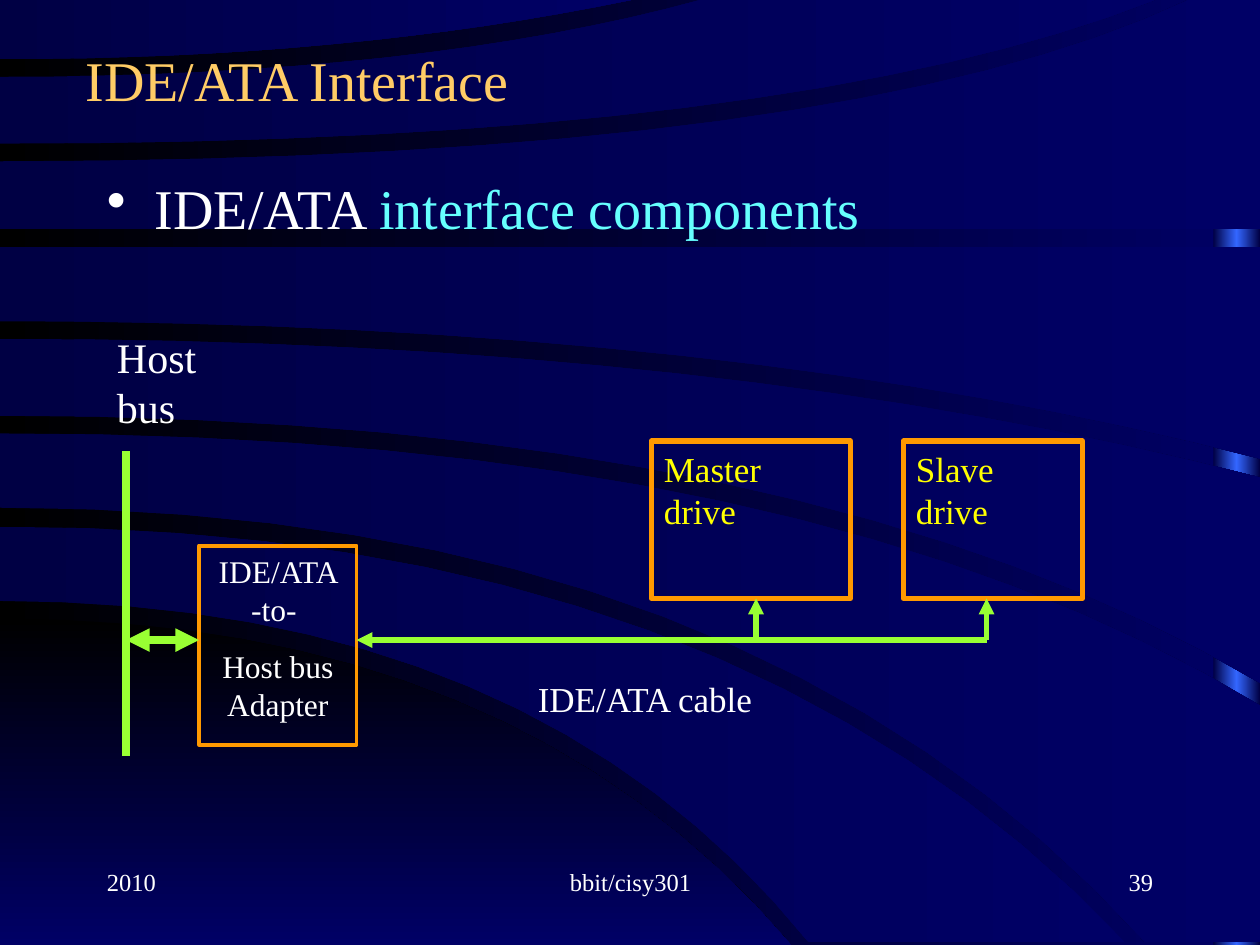
from copy import deepcopy
from dataclasses import dataclass
from typing import NamedTuple, Optional

from lxml.etree import SubElement
from pptx import Presentation
from pptx.dml.color import RGBColor
from pptx.enum.shapes import MSO_CONNECTOR, MSO_SHAPE
from pptx.enum.text import MSO_ANCHOR, PP_ALIGN
from pptx.oxml.ns import qn
from pptx.util import Inches, Pt

BLACK = RGBColor(0x00, 0x00, 0x00)
NAVY = RGBColor(0x00, 0x00, 0x66)
DARK_NAVY = RGBColor(0x00, 0x00, 0x44)
BLUE = RGBColor(0x33, 0x66, 0xFF)
WHITE = RGBColor(0xFF, 0xFF, 0xFF)
GOLD = RGBColor(0xFF, 0xCC, 0x66)
YELLOW = RGBColor(0xFF, 0xFF, 0x00)
ORANGE = RGBColor(0xFF, 0x99, 0x00)
GREEN = RGBColor(0x99, 0xFF, 0x33)
CYAN = RGBColor(0x66, 0xFF, 0xFF)
FONT_NAME = "Times New Roman"
WIDTH, HEIGHT = 10, 7.5
CURVE_STEPS = 16
POINTS_PER_INCH = 1000
CABLE_Y = 5.08
DRIVE_TOP, DRIVE_HEIGHT = 3.5, 1.25


class Curve(NamedTuple):
    start_y: float
    bend_x: float
    end_x: float
    end_y: float

    def points(self) -> list:
        result = []
        for step in range(CURVE_STEPS + 1):
            t = step / CURVE_STEPS
            x = 2 * t * (1 - t) * self.bend_x + t * t * self.end_x
            y = self.start_y + t * t * (self.end_y - self.start_y)
            result.append((round(x * POINTS_PER_INCH), round(y * POINTS_PER_INCH)))
        return result


@dataclass
class Band:
    upper: Curve
    lower: Curve
    colors: tuple = (DARK_NAVY, NAVY)
    angle: int = 0
    reaches_corner: bool = False


@dataclass
class Label:
    box: tuple
    paragraphs: list
    size: float
    color: RGBColor = WHITE
    align: PP_ALIGN = PP_ALIGN.LEFT
    space_before: float = 0
    anchor: MSO_ANCHOR = MSO_ANCHOR.TOP
    outline: Optional[float] = None
    bullet: bool = False


@dataclass
class Arrow:
    start: tuple
    end: tuple
    width: float
    ends: tuple = ()


def level(y: float, end_x: float = WIDTH) -> Curve:
    return Curve(y, end_x / 2, end_x, y)


BANDS = [
    Band(Curve(4.91, 4.08, 6.28, 7.5), level(HEIGHT, 6.28), (BLACK, NAVY), 270),
    Band(Curve(4.18, 5.83, 8.93, 7.48), Curve(4.77, 4.23, 6.42, 7.48)),
    Band(Curve(3.44, 6.46, 10, 5.6), Curve(4.03, 5.98, 9.09, 7.48), reaches_corner=True),
    Band(Curve(2.69, 5.75, 10, 3.79), Curve(3.3, 6.44, 10, 5.42)),
    Band(level(1.96), Curve(2.55, 5.82, 10, 3.64)),
    Band(Curve(1.28, 6.72, 9.43, 0), level(1.82), reaches_corner=True),
    Band(Curve(0.61, 3.34, 5.56, 0), Curve(1.14, 6.28, 9.17, 0)),
    Band(level(0, 5.01), Curve(0.47, 2.74, 5.01, 0)),
]


def footer(left: float, width: float, text: str, align: PP_ALIGN) -> Label:
    return Label((left, 6.83, width, 0.5), [text], 14, align=align)


def drive(left: float, width: float, text: str) -> Label:
    return Label((left, DRIVE_TOP, width, DRIVE_HEIGHT), [text], 20, YELLOW,
                 space_before=12.5, outline=3)


LABELS = [
    footer(0.75, 2.08, "2010", PP_ALIGN.LEFT),
    footer(3.42, 3.17, "bbit/cisy301", PP_ALIGN.CENTER),
    footer(7.17, 2.08, "39", PP_ALIGN.RIGHT),
    Label((0.58, 0.25, 8.67, 0.75), ["IDE/ATA Interface"], 32, GOLD, anchor=MSO_ANCHOR.MIDDLE),
    drive(5.17, 1.58, "Master drive"),
    drive(7.17, 1.42, "Slave drive"),
    Label((1.58, 4.33, 1.25, 1.58), ["IDE/ATA -to- ", "Host bus Adapter"], 18,
          align=PP_ALIGN.CENTER, space_before=11.2, outline=2.25),
    Label((4.17, 5.33, 2, 0.44), ["IDE/ATA cable"], 20, space_before=12.5),
    Label((0.83, 2.58, 1, 0.9), ["Host bus"], 24, space_before=15),
    Label((0.75, 1.33, 8.5, 0.67), [[("IDE/ATA ", WHITE), ("interface components", CYAN)]], 32,
          space_before=8, bullet=True),
]

ARROWS = [
    Arrow((2.83, CABLE_Y), (7.83, CABLE_Y), 3, ("headEnd",)),
    *(Arrow((x, CABLE_Y), (x, DRIVE_TOP + DRIVE_HEIGHT), 3, ("tailEnd",)) for x in (6, 7.83)),
    Arrow((1.58, CABLE_Y), (1, CABLE_Y), 4.5, ("headEnd", "tailEnd")),
    Arrow((1, 3.58), (1, 6), 4.5),
]


def set_gradient(fill, colors: tuple, angle: int = 0) -> None:
    fill.gradient()
    fill.gradient_angle = angle
    if len(colors) == 3:
        first = fill.gradient_stops[0]._gs
        first.addnext(deepcopy(first))
    for index, (stop, color) in enumerate(zip(fill.gradient_stops, colors)):
        stop.position = index / (len(colors) - 1)
        stop.color.rgb = color


def paint(shape, colors: tuple, angle: int = 0) -> None:
    shape.shadow.inherit = False
    shape.line.fill.background()
    set_gradient(shape.fill, colors, angle)


def draw_band(slide, band: Band) -> None:
    points = band.upper.points()
    if band.reaches_corner:
        corner_y = 0 if band.upper.end_y == 0 else band.lower.end_y
        points.append((WIDTH * POINTS_PER_INCH, round(corner_y * POINTS_PER_INCH)))
    points += reversed(band.lower.points())
    builder = slide.shapes.build_freeform(*points[0], scale=Inches(1) / POINTS_PER_INCH)
    builder.add_line_segments(points[1:], close=True)
    paint(builder.convert_to_shape(), band.colors, band.angle)


def add_bullet(paragraph) -> None:
    properties = paragraph._p.get_or_add_pPr()
    properties.set("marL", str(Inches(0.38)))
    properties.set("indent", str(-Inches(0.38)))
    SubElement(SubElement(properties, qn("a:buClr")), qn("a:srgbClr"), val=str(WHITE))
    SubElement(properties, qn("a:buChar"), char="•")


def draw_label(slide, label: Label) -> None:
    box = [Inches(length) for length in label.box]
    if label.outline:
        shape = slide.shapes.add_shape(MSO_SHAPE.RECTANGLE, *box)
        shape.shadow.inherit = False
        shape.fill.background()
        shape.line.color.rgb = ORANGE
        shape.line.width = Pt(label.outline)
    else:
        shape = slide.shapes.add_textbox(*box)
    frame = shape.text_frame
    frame.word_wrap = True
    frame.vertical_anchor = label.anchor
    for index, content in enumerate(label.paragraphs):
        paragraph = frame.add_paragraph() if index else frame.paragraphs[0]
        formats = {"alignment": label.align, "space_before": Pt(label.space_before)}
        for name, value in formats.items():
            setattr(paragraph, name, value)
        if label.bullet:
            add_bullet(paragraph)
        runs = [(content, label.color)] if isinstance(content, str) else content
        for text, color in runs:
            run = paragraph.add_run()
            run.text = text
            for name, value in {"name": FONT_NAME, "size": Pt(label.size)}.items():
                setattr(run.font, name, value)
            run.font.color.rgb = color


def draw_arrow(slide, arrow: Arrow) -> None:
    points = [Inches(length) for length in (*arrow.start, *arrow.end)]
    connector = slide.shapes.add_connector(MSO_CONNECTOR.STRAIGHT, *points)
    connector.line.color.rgb = GREEN
    connector.line.width = Pt(arrow.width)
    for end in arrow.ends:
        SubElement(connector.line._get_or_add_ln(), qn(f"a:{end}"), type="triangle")
    SubElement(connector._element.spPr, qn("a:effectLst"))


def main() -> None:
    presentation = Presentation()
    presentation.slide_width, presentation.slide_height = Inches(WIDTH), Inches(HEIGHT)
    slide = presentation.slides.add_slide(presentation.slide_layouts[6])
    set_gradient(slide.background.fill, (BLACK, NAVY))
    stripe_box = [Inches(length) for length in (9.63, 0, 0.37, HEIGHT)]
    stripe = slide.shapes.add_shape(MSO_SHAPE.RECTANGLE, *stripe_box)
    paint(stripe, (DARK_NAVY, BLUE, DARK_NAVY))
    for draw, items in ((draw_band, BANDS), (draw_label, LABELS), (draw_arrow, ARROWS)):
        for item in items:
            draw(slide, item)
    presentation.save("out.pptx")


if __name__ == "__main__":
    main()
